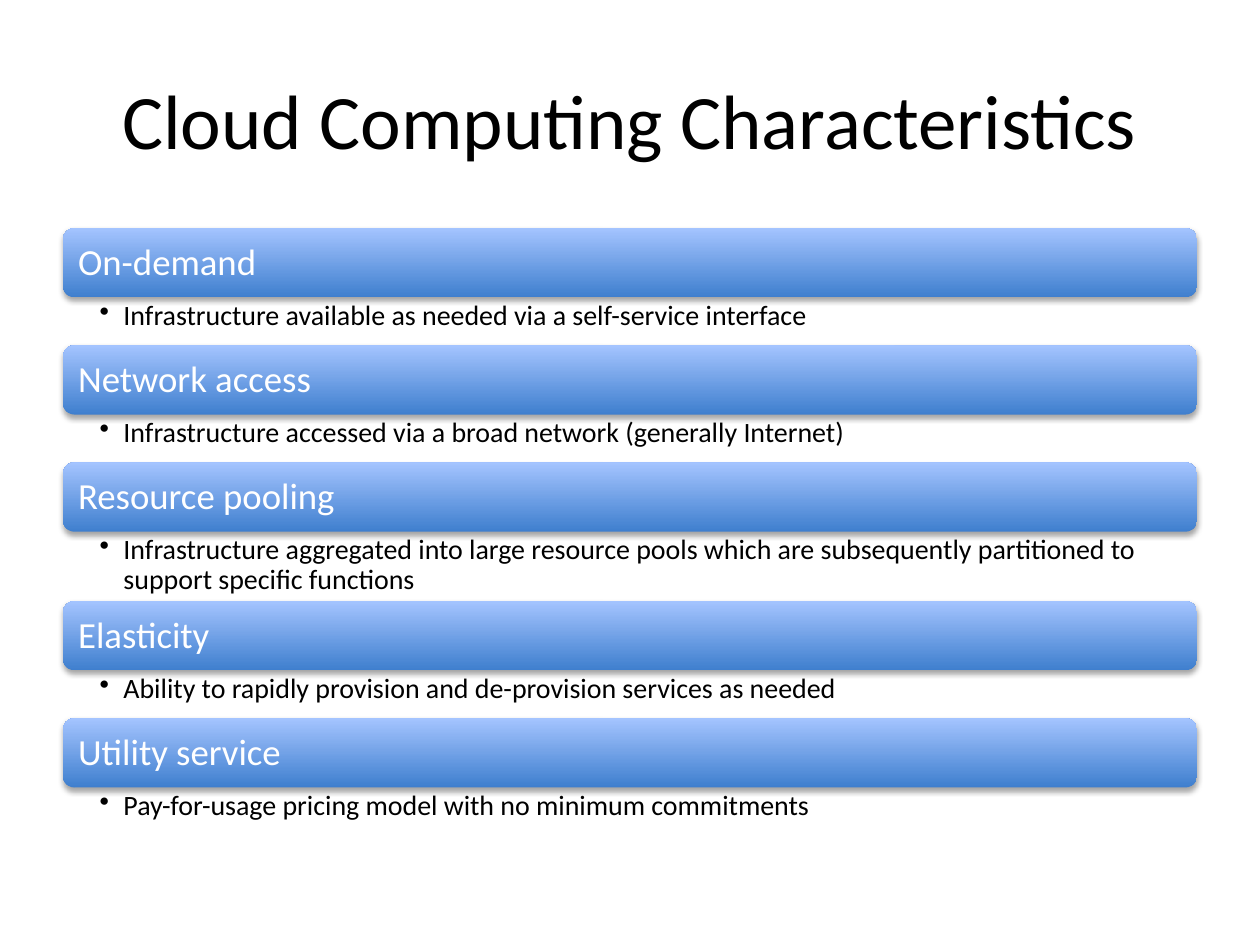
from lxml.etree import SubElement
from pptx import Presentation
from pptx.dml.color import RGBColor
from pptx.enum.shapes import MSO_SHAPE
from pptx.enum.text import MSO_ANCHOR, PP_ALIGN
from pptx.oxml.ns import qn
from pptx.util import Inches, Pt

LEFT, WIDTH, TOP = 0.5, 9, 1.81
BAR_HEIGHT, LINE_HEIGHT, TWO_LINE_HEIGHT = 0.55, 0.38, 0.55
CHARACTERISTICS = [
    ("On-demand", "Infrastructure available as needed via a self-service interface", LINE_HEIGHT),
    ("Network access", "Infrastructure accessed via a broad network (generally Internet)", LINE_HEIGHT),
    ("Resource pooling", "Infrastructure aggregated into large resource pools which are "
     "subsequently partitioned to support specific functions", TWO_LINE_HEIGHT),
    ("Elasticity", "Ability to rapidly provision and de-provision services as needed", LINE_HEIGHT),
    ("Utility service", "Pay-for-usage pricing model with no minimum commitments", LINE_HEIGHT),
]


def color(value):
    """Turn a hex string into a colour."""
    return RGBColor.from_string(value)


def add_text(page, area, text, size, shade="000000", insets=(0.1, 0.05, 0.1, 0.05),
             anchor=MSO_ANCHOR.MIDDLE, spacing=0.9):
    """Add a wrapped text box and return its paragraph."""
    frame = page.shapes.add_textbox(*map(Inches, area)).text_frame
    frame.word_wrap = True
    frame.vertical_anchor = anchor
    (frame.margin_left, frame.margin_top,
     frame.margin_right, frame.margin_bottom) = map(Inches, insets)
    paragraph = frame.paragraphs[0]
    paragraph.text = text
    paragraph.line_spacing = spacing
    paragraph.font.name = "Calibri"
    paragraph.font.size = Pt(size)
    paragraph.font.color.rgb = color(shade)
    return paragraph


def add_shadow(shape):
    """Give a shape a soft shadow that falls straight down."""
    shape.shadow.inherit = False
    effects = shape.element.spPr.find(qn("a:effectLst"))
    shadow = SubElement(effects, qn("a:outerShdw"), blurRad=str(Pt(3.1)), dist=str(Pt(1.8)),
                        dir="5400000", rotWithShape="0")
    black = SubElement(shadow, qn("a:srgbClr"), val="000000")
    SubElement(black, qn("a:alpha"), val="35000")


def add_bar(page, top, label):
    """Add a gradient bar with its label."""
    bar = page.shapes.add_shape(MSO_SHAPE.ROUNDED_RECTANGLE,
                                *map(Inches, (LEFT, top, WIDTH, BAR_HEIGHT)))
    bar.line.fill.background()
    bar.fill.gradient()
    bar.fill.gradient_angle = 90
    for stop, position, shade in zip(bar.fill.gradient_stops, (0, 1), ("3F7FCE", "A4C4FF")):
        stop.position = position
        stop.color.rgb = color(shade)
    add_shadow(bar)
    area = (LEFT + 0.03, top + 0.03, WIDTH - 0.05, BAR_HEIGHT - 0.05)
    add_text(page, area, label, 21, "FFFFFF", insets=(0.09,) * 4)


def add_detail(page, top, height, text):
    """Add the bulleted explanation below a bar."""
    paragraph = add_text(page, (LEFT, top, WIDTH, height), text, 16,
                         insets=(0.29, 0.03, 0.16, 0.03), anchor=MSO_ANCHOR.TOP)
    paragraph.level = 1
    properties = paragraph._p.get_or_add_pPr()
    properties.set("marL", str(Inches(0.19)))
    properties.set("indent", str(-Inches(0.19)))
    bullet = properties.makeelement(qn("a:buChar"), {"char": "•"})
    properties.find(qn("a:defRPr")).addprevious(bullet)


def main():
    """Build and save the slide."""
    deck = Presentation()
    deck.slide_width, deck.slide_height = Inches(10), Inches(7.5)
    page = deck.slides.add_slide(deck.slide_layouts[6])
    title = add_text(page, (LEFT, 0.32, WIDTH, 1.25), "Cloud Computing Characteristics", 44, spacing=1.0)
    title.alignment = PP_ALIGN.CENTER
    top = TOP
    for label, detail, height in CHARACTERISTICS:
        add_bar(page, top, label)
        add_detail(page, top + BAR_HEIGHT, height, detail)
        top += BAR_HEIGHT + height
    deck.save("out.pptx")


if __name__ == "__main__":
    main()
